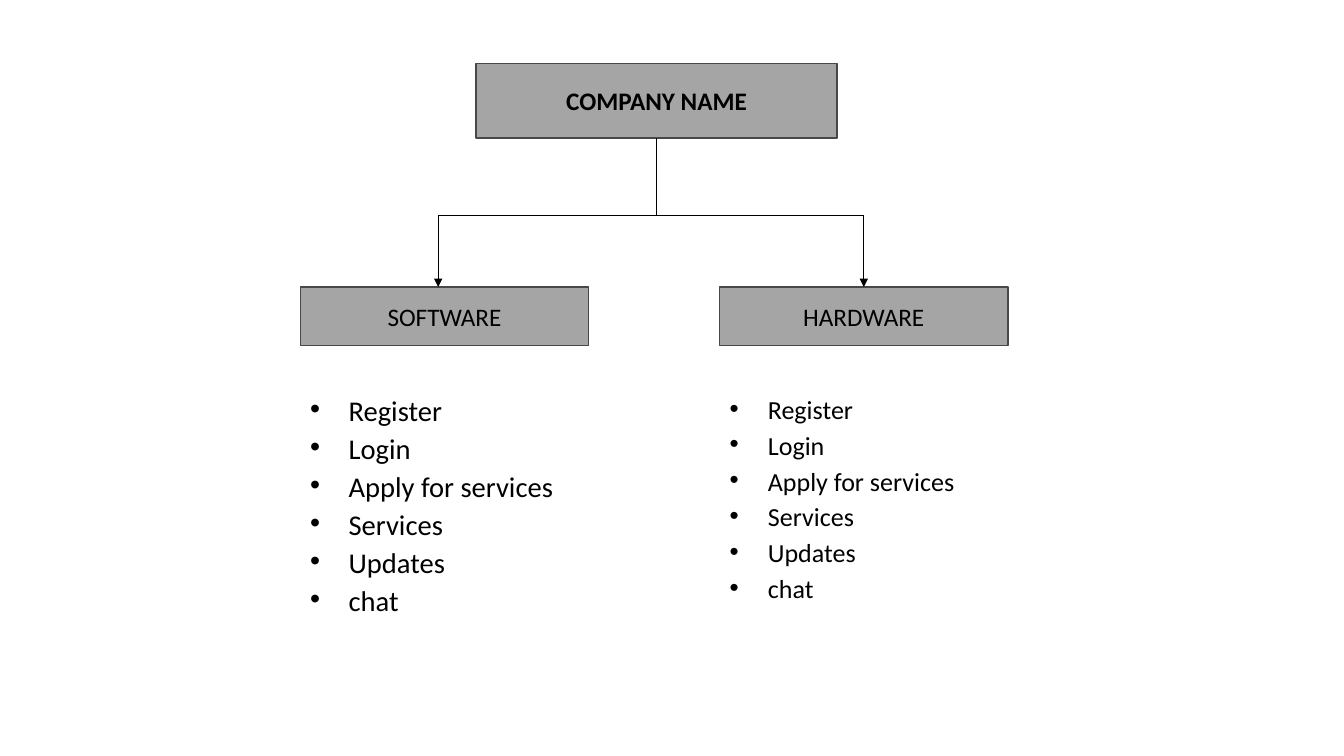
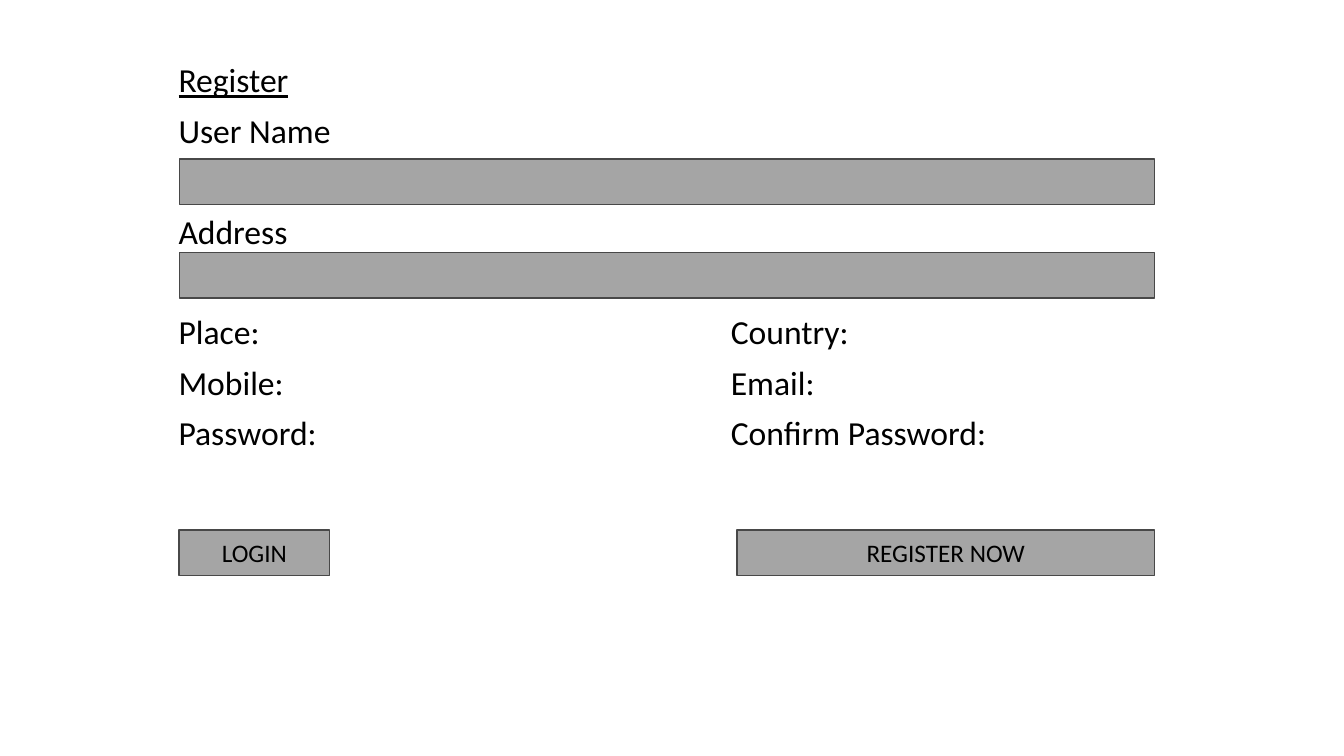
"""Build a company structure chart and a registration form."""
from dataclasses import dataclass

from lxml.etree import SubElement
from pptx import Presentation
from pptx.dml.color import RGBColor
from pptx.enum.shapes import MSO_CONNECTOR, MSO_SHAPE
from pptx.enum.text import MSO_ANCHOR, MSO_AUTO_SIZE, PP_ALIGN
from pptx.oxml.ns import qn
from pptx.util import Pt


@dataclass(frozen=True)
class Theme:
    font: str = "Calibri"
    ink: RGBColor = RGBColor(0x00, 0x00, 0x00)
    panel: RGBColor = RGBColor(0xA5, 0xA5, 0xA5)
    edge: RGBColor = RGBColor(0x48, 0x48, 0x48)
    box_size: float = 18
    form_size: float = 24
    software_size: float = 20.4
    hardware_size: float = 18.6


T = Theme()


def write(shp, lines, size, frame=None, para=None, font=None):
    tf = shp.text_frame
    frame = {"word_wrap": True, "auto_size": MSO_AUTO_SIZE.NONE, **(frame or {})}
    for name, value in frame.items():
        setattr(tf, name, value)
    for i, line in enumerate(lines):
        p = tf.add_paragraph() if i else tf.paragraphs[0]
        for name, value in (para or {}).items():
            setattr(p, name, value)
        r = p.add_run()
        r.text = line
        r.font.color.rgb = T.ink
        for name, value in {"name": T.font, "size": Pt(size), **(font or {})}.items():
            setattr(r.font, name, value)
    return tf


def panel(shp, text="", **font):
    shp.fill.solid()
    shp.fill.fore_color.rgb = T.panel
    shp.line.color.rgb = T.edge
    shp.line.width = Pt(1)
    shp.shadow.inherit = False
    if text:
        write(shp, [text], T.box_size, {"vertical_anchor": MSO_ANCHOR.MIDDLE},
              {"alignment": PP_ALIGN.CENTER}, font)


prs = Presentation()
prs.slide_width, prs.slide_height = Pt(960), Pt(540)
layout = prs.slide_layouts[5]

s = prs.slides.add_slide(layout)
title = s.shapes.title
for name, value in {"left": 340, "top": 45.5, "width": 258, "height": 53}.items():
    setattr(title, name, Pt(value))
panel(title, "COMPANY NAME", bold=True)

trunk_x, bus_y, box_y = 469, 154, 205
features = ["Register", "Login", "Apply for services", "Services", "Updates", "chat"]
branches = [
    ("SOFTWARE", 214.5, 313, T.software_size),
    ("HARDWARE", 514, 617, T.hardware_size),
]
lines = [(trunk_x, 98.5, trunk_x, bus_y, False)]
for name, x, drop_x, size in branches:
    lines += [
        (trunk_x, bus_y, drop_x, bus_y, False),
        (drop_x, bus_y, drop_x, box_y, True),
    ]
    panel(s.shapes.add_shape(MSO_SHAPE.RECTANGLE, Pt(x), Pt(box_y), Pt(206), Pt(42)), name)
    feature_list = s.shapes.add_textbox(Pt(x), Pt(283.5), Pt(206), Pt(162))
    tf = write(feature_list, features, size,
               para={"line_spacing": 0.7, "space_before": Pt(10)})
    for p in tf.paragraphs:
        pPr = p._p.get_or_add_pPr()
        pPr.set("marL", str(Pt(27.4)))
        pPr.set("indent", str(-Pt(27.4)))
        SubElement(pPr, qn("a:buFont")).set("typeface", "Arial")
        SubElement(pPr, qn("a:buChar")).set("char", "•")

for x1, y1, x2, y2, arrow in lines:
    c = s.shapes.add_connector(MSO_CONNECTOR.STRAIGHT, Pt(x1), Pt(y1), Pt(x2), Pt(y2))
    c.line.color.rgb = T.ink
    c.line.width = Pt(0.5)
    if arrow:
        SubElement(c.line._get_or_add_ln(), qn("a:tailEnd")).set("type", "triangle")
    SubElement(c._element.spPr, qn("a:effectLst"))

s = prs.slides.add_slide(layout)
left, right, first_row, pitch = 127.5, 522, 42.4, 36
flush = {"vertical_anchor": MSO_ANCHOR.TOP, "margin_left": 0, "margin_right": 0,
         "margin_top": 0, "margin_bottom": 0}
title = s.shapes.title
for name, value in {"left": left, "top": first_row, "width": 300, "height": 30}.items():
    setattr(title, name, Pt(value))
write(title, ["Register"], T.form_size, flush, {"alignment": PP_ALIGN.LEFT},
      {"underline": True})

labels = [
    (1, left, "User Name"),
    (3, left, "Address"),
    (5, left, "Place:"),
    (5, right, "Country:"),
    (6, left, "Mobile:"),
    (6, right, "Email:"),
    (7, left, "Password:"),
    (7, right, "Confirm Password:"),
]
for row, x, text in labels:
    label = s.shapes.add_textbox(Pt(x), Pt(first_row + row * pitch), Pt(300), Pt(30))
    write(label, [text], T.form_size, flush)

panels = [
    (128, 113.5, 696.5, ""),
    (128, 180.5, 696.5, ""),
    (128, 378.5, 107.5, "LOGIN"),
    (526.5, 378.5, 298, "REGISTER NOW"),
]
for x, y, width, text in panels:
    panel(s.shapes.add_shape(MSO_SHAPE.RECTANGLE, Pt(x), Pt(y), Pt(width), Pt(32.5)), text)

prs.save("out.pptx")
